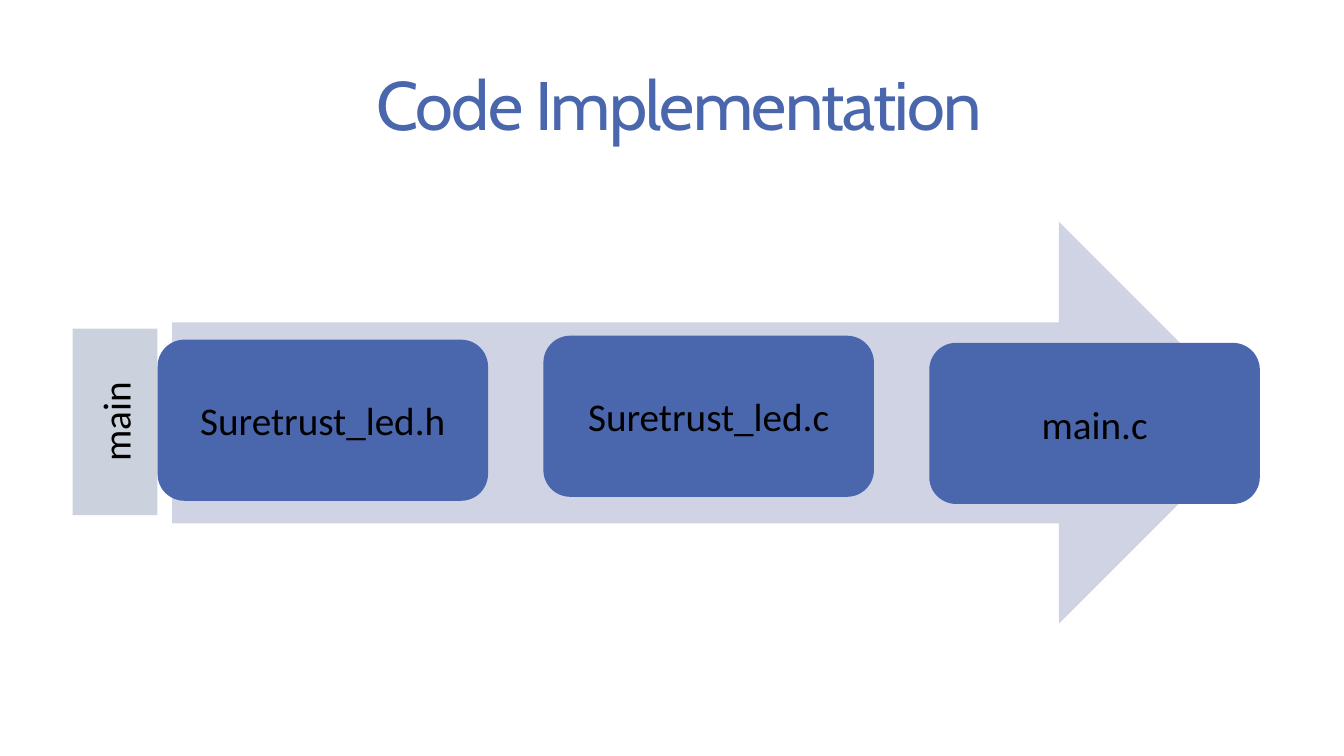
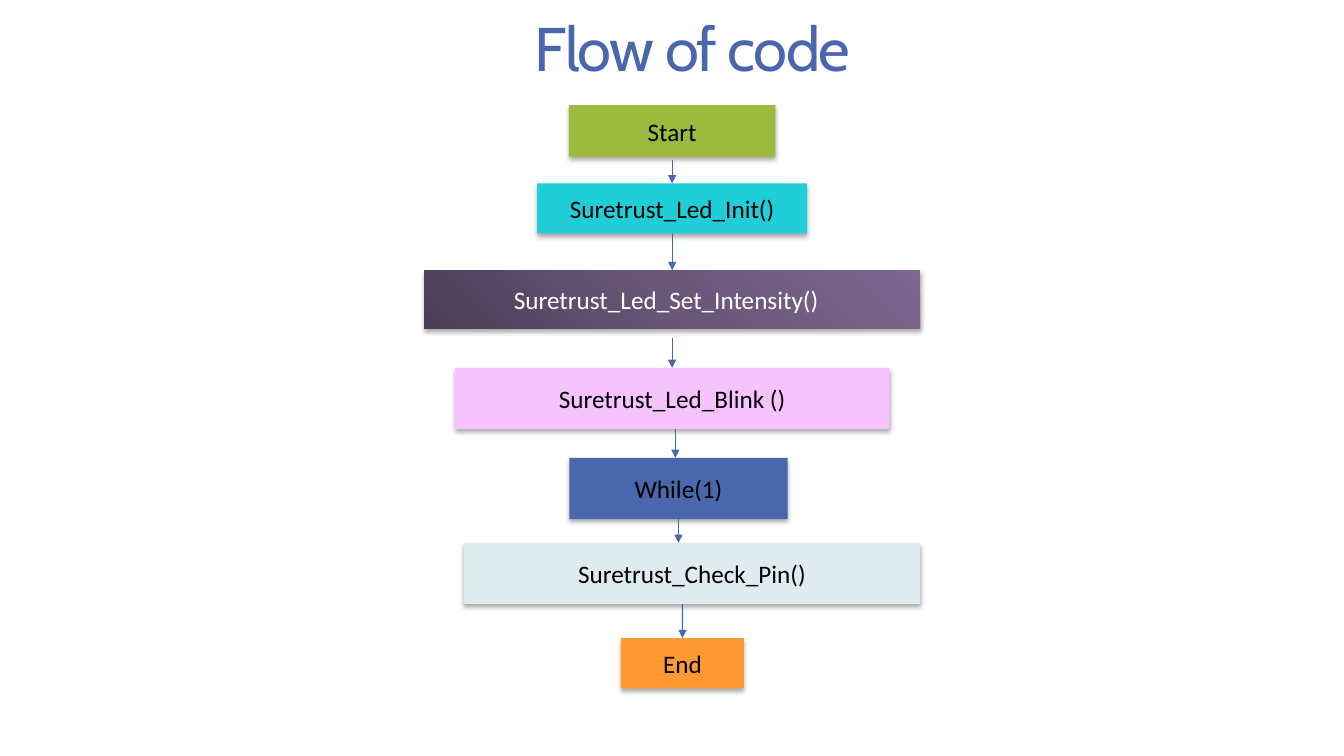
from dataclasses import dataclass

from lxml.etree import SubElement
from pptx import Presentation
from pptx.dml.color import RGBColor
from pptx.enum.shapes import MSO_CONNECTOR as Connector, MSO_SHAPE as Preset
from pptx.enum.text import MSO_ANCHOR as Anchor, MSO_AUTO_SIZE as AutoSize, PP_ALIGN as Align
from pptx.oxml import parse_xml
from pptx.oxml.ns import nsdecls, qn
from pptx.util import Cm, Pt


@dataclass(frozen=True)
class Theme:
    title_font: str = "Cabin"
    body_font: str = "Calibri"
    primary: str = "4A66AC"
    text: str = "000000"
    light_text: str = "FFFFFF"
    arrow: str = "D0D3E3"
    label: str = "CCD2DD"
    start: str = "9CBA3C"
    init: str = "1FCED7"
    blink: str = "F6C3FF"
    check: str = "DEECEF"
    end: str = "FF9933"
    intensity: tuple = ((0, "4A3D55"), (50, "6A5679"), (100, "7D6690"))
    file_size: int = 28
    step_size: int = 18
    line_width: float = 0.75


@dataclass(frozen=True)
class Box:
    left: float
    top: float
    width: float
    height: float

    def lengths(self):
        return Cm(self.left), Cm(self.top), Cm(self.width), Cm(self.height)


@dataclass(frozen=True)
class Step:
    text: str
    fill: object
    center: float
    top: float
    width: float
    height: float
    color: str = Theme.text
    right_inset: float = 0.25


@dataclass(frozen=True)
class Arrow:
    x: float
    gap: float = 0


THEME = Theme()

FILES = (("Suretrust_led.h", 2.97), ("Suretrust_led.c", 2.87), ("main.c", 3.05))

STEPS = (
    Step("Start", THEME.start, 6.26, 0, 5.2, 1.3),
    Step("Suretrust_Led_Init()", THEME.init, 6.26, 1.97, 6.8, 1.26),
    Step("Suretrust_Led_Set_Intensity()", THEME.intensity, 6.26, 4.16, 12.5, 1.48,
         THEME.light_text, 0.55),
    Step("Suretrust_Led_Blink ()", THEME.blink, 6.26, 6.62, 10.95, 1.54),
    Step("While(1)", THEME.primary, 6.42, 8.89, 5.5, 1.54),
    Step("Suretrust_Check_Pin()", THEME.check, 6.76, 11.03, 11.5, 1.54),
    Step("End", THEME.end, 6.52, 13.43, 3.1, 1.27),
)

ARROWS = (Arrow(6.26, 0.07), Arrow(6.26), Arrow(6.26, 0.22),
          Arrow(6.34), Arrow(6.42), Arrow(6.52))


def rgb(color):
    return RGBColor.from_string(color)


def add_run(paragraph, text, font, size, color):
    run = paragraph.add_run()
    run.text = text
    run.font.name = font
    run.font.size = Pt(size)
    run.font.color.rgb = rgb(color)
    return run


def add_title(slide, text, box, size, left_inset):
    title = slide.shapes.title
    title.left, title.top, title.width, title.height = box.lengths()
    frame = title.text_frame
    frame.auto_size = AutoSize.NONE
    frame.word_wrap = True
    frame.vertical_anchor = Anchor.MIDDLE
    frame.margin_left = Cm(left_inset)
    paragraph = frame.paragraphs[0]
    paragraph.alignment = Align.CENTER
    paragraph.line_spacing = 0.85
    run = add_run(paragraph, text, THEME.title_font, size, THEME.primary)
    run.font._element.set("spc", "-120")


def set_corner_gradient(shape, stops):
    shape.fill.background()
    stop_xml = "".join(
        f'<a:gs pos="{position * 1000}"><a:srgbClr val="{color}"/></a:gs>'
        for position, color in stops)
    gradient = parse_xml(
        f'<a:gradFill {nsdecls("a")} rotWithShape="1"><a:gsLst>{stop_xml}</a:gsLst>'
        '<a:path path="circle"><a:fillToRect t="100000" r="100000"/></a:path>'
        '<a:tileRect l="-100000" b="-100000"/></a:gradFill>')
    properties = shape.element.spPr
    properties.replace(properties.find(qn("a:noFill")), gradient)


def add_block(slide, preset, box, fill, text="", size=THEME.step_size, color=THEME.text):
    shape = slide.shapes.add_shape(preset, *box.lengths())
    shape.shadow.inherit = False
    shape.line.fill.background()
    if isinstance(fill, tuple):
        set_corner_gradient(shape, fill)
    else:
        shape.fill.solid()
        shape.fill.fore_color.rgb = rgb(fill)
    if text:
        frame = shape.text_frame
        frame.word_wrap = True
        frame.vertical_anchor = Anchor.MIDDLE
        paragraph = frame.paragraphs[0]
        paragraph.alignment = Align.CENTER
        add_run(paragraph, text, THEME.body_font, size, color)
    return shape


def add_drop_shadow(shape):
    effects = shape.element.spPr.find(qn("a:effectLst"))
    effects.append(parse_xml(
        f'<a:outerShdw {nsdecls("a")} blurRad="{Pt(3.5)}" dist="{Pt(2.2)}" dir="5400000" '
        'rotWithShape="0"><a:srgbClr val="000000"><a:alpha val="32000"/></a:srgbClr>'
        '</a:outerShdw>'))


def add_step(slide, box, step):
    step_box = Box(box.left + step.center - step.width / 2, box.top + step.top,
                   step.width, step.height)
    shape = add_block(slide, Preset.RECTANGLE, step_box, step.fill, step.text,
                      color=step.color)
    shape.text_frame.margin_right = Cm(step.right_inset)
    add_drop_shadow(shape)
    return shape


def add_arrow(slide, box, arrow, source, target, source_shape, target_shape):
    x = Cm(box.left + arrow.x)
    start = Cm(box.top + source.top + source.height + arrow.gap)
    connector = slide.shapes.add_connector(
        Connector.STRAIGHT, x, start, x, Cm(box.top + target.top))
    if arrow.x == source.center and not arrow.gap:
        connector.begin_connect(source_shape, 2)
    if arrow.x == target.center:
        connector.end_connect(target_shape, 0)
    connector.line.color.rgb = rgb(THEME.primary)
    connector.line.width = Pt(THEME.line_width)
    SubElement(connector.line._get_or_add_ln(), qn("a:tailEnd"), type="triangle")
    SubElement(connector.element.spPr, qn("a:effectLst"))


def add_file_process(slide, box):
    label_width, file_width, file_height = 2.14, 8.33, 4.06
    arrow_offset = 2.51
    add_block(slide, Preset.RIGHT_ARROW,
              Box(box.left + arrow_offset, box.top, box.width - arrow_offset, box.height),
              THEME.arrow)
    gap = (box.width - label_width - len(FILES) * file_width) / (len(FILES) - 1)
    for index, (name, top) in enumerate(FILES):
        left = box.left + label_width + index * (file_width + gap)
        add_block(slide, Preset.ROUNDED_RECTANGLE,
                  Box(left, box.top + top, file_width, file_height),
                  THEME.primary, name, THEME.file_size)
    label = add_block(slide, Preset.RECTANGLE,
                      Box(box.left, box.top + 2.69, label_width, 4.7),
                      THEME.label, "main", THEME.file_size)
    label.element.txBody.bodyPr.set("vert", "vert270")


def add_flow(slide, box):
    shapes = [add_step(slide, box, step) for step in STEPS]
    for index, arrow in enumerate(ARROWS):
        add_arrow(slide, box, arrow, *STEPS[index:index + 2], *shapes[index:index + 2])


def main():
    presentation = Presentation()
    presentation.slide_width = Cm(33.87)
    presentation.slide_height = Cm(19.05)
    title_only = presentation.slide_layouts[5]

    implementation = presentation.slides.add_slide(title_only)
    add_title(implementation, "Code Implementation", Box(1.83, 1.4, 29.92, 2.74), 49, 0.9)
    add_file_process(implementation, Box(1.83, 5.59, 29.92, 10.13))

    flow = presentation.slides.add_slide(title_only)
    add_title(flow, "Flow of code", Box(1.88, 0, 30.1, 2.64), 44, 1.3)
    add_flow(flow, Box(10.68, 2.65, 12.5, 14.7))

    presentation.save("out.pptx")


if __name__ == "__main__":
    main()
